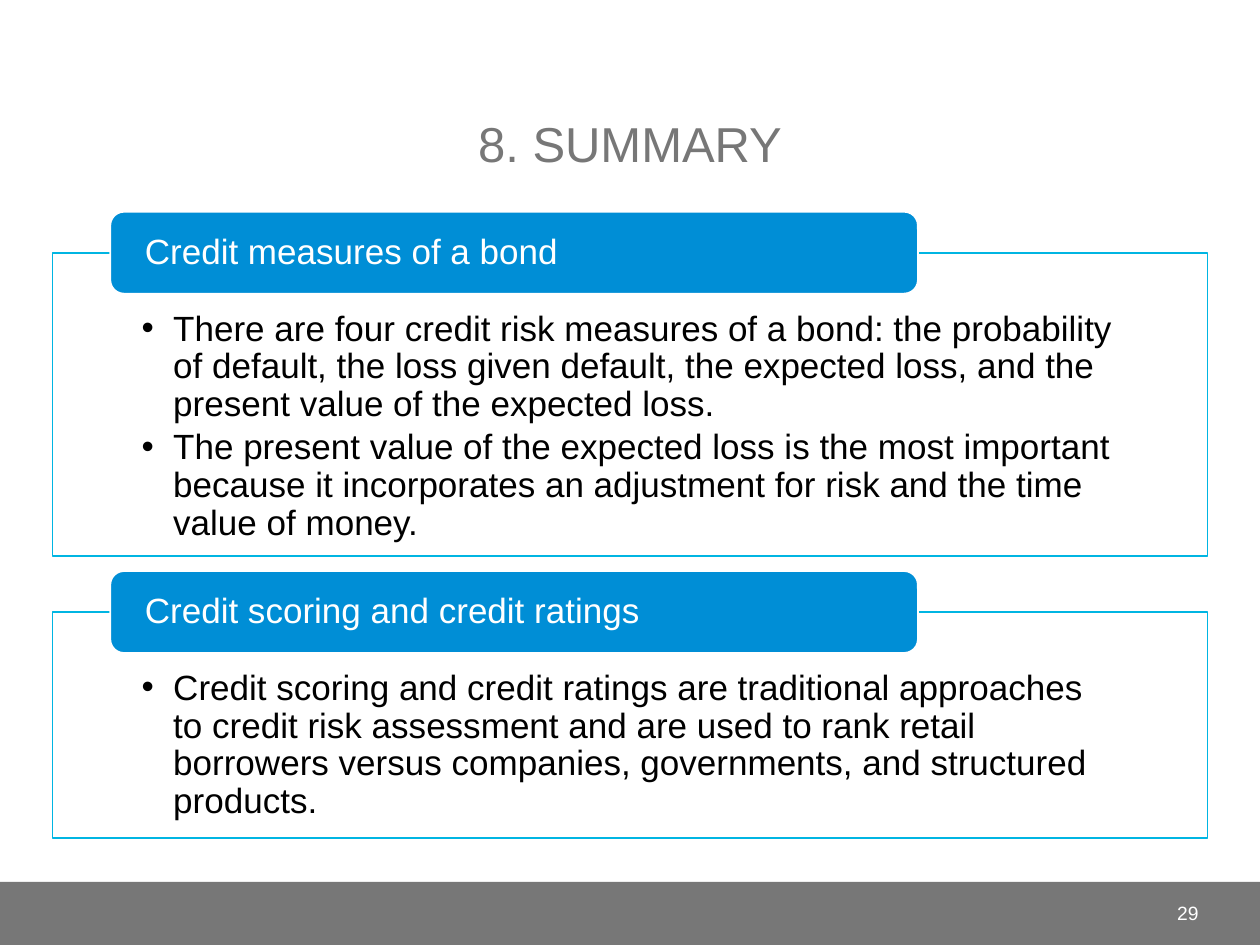
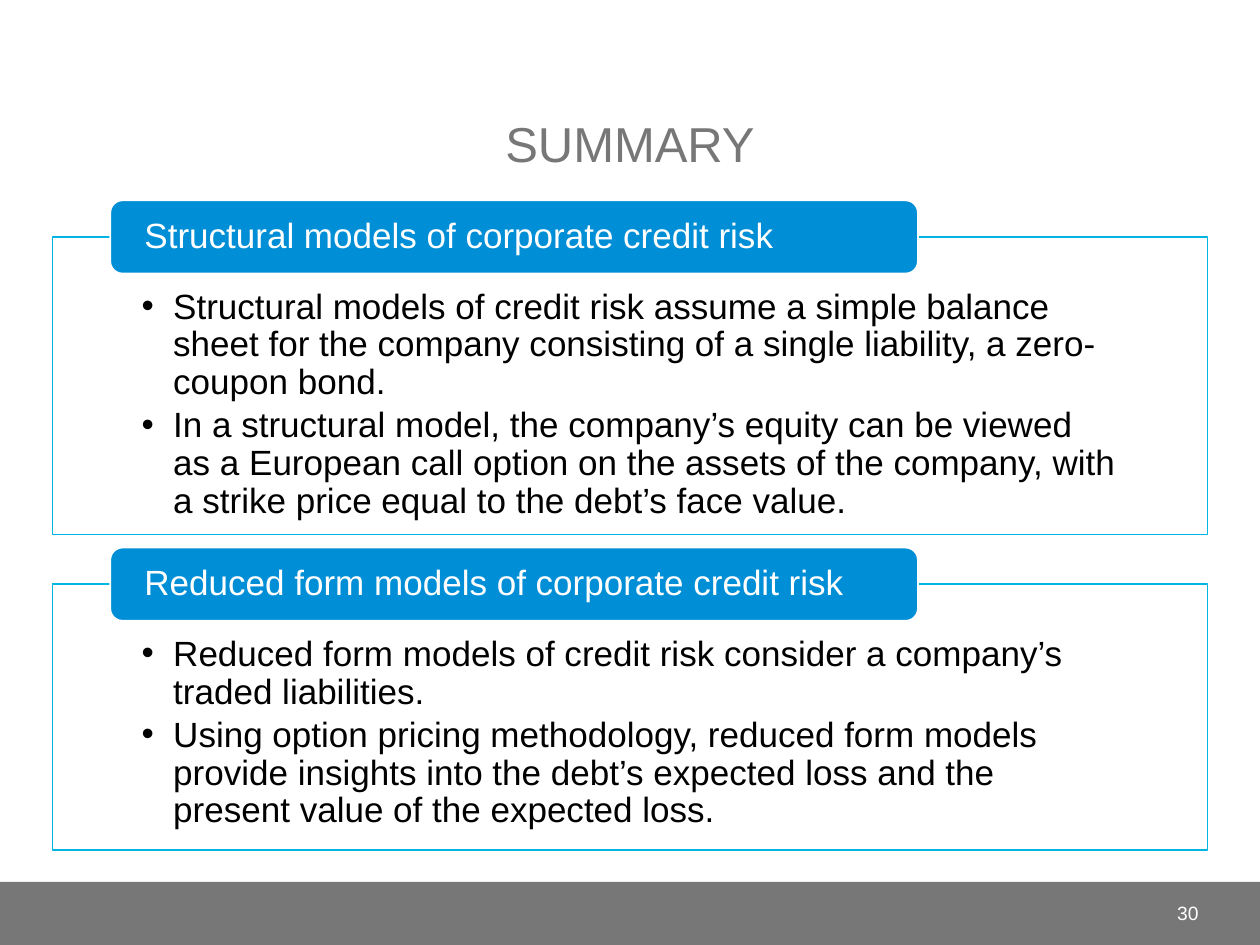
from dataclasses import dataclass

from lxml.etree import SubElement
from pptx import Presentation
from pptx.dml.color import RGBColor
from pptx.enum.shapes import MSO_SHAPE
from pptx.enum.text import MSO_ANCHOR, MSO_AUTO_SIZE, PP_ALIGN
from pptx.oxml.ns import qn
from pptx.util import Pt

# Content: each section has a heading, its panel height and its points
SUMMARIES = [
    {
        "title": "8. SUMMARY", "page": "29", "top": 121, "tab_height": 46.8,
        "sections": [
            ("Credit measures of a bond", 173.5, [
                "There are four credit risk measures of a bond: the probability of default, "
                "the loss given default, the expected loss, and the present value of the "
                "expected loss.",
                "The present value of the expected loss is the most important because it "
                "incorporates an adjustment for risk and the time value of money.",
            ]),
            ("Credit scoring and credit ratings", 129, [
                "Credit scoring and credit ratings are traditional approaches to credit risk "
                "assessment and are used to rank retail borrowers versus companies, "
                "governments, and structured products.",
            ]),
        ],
    },
    {
        "title": "SUMMARY", "page": "30", "top": 114.5, "tab_height": 41.8,
        "sections": [
            ("Structural models of corporate credit risk", 170, [
                "Structural models of credit risk assume a simple balance sheet for the "
                "company consisting of a single liability, a zero-coupon bond.",
                "In a structural model, the company’s equity can be viewed as a European "
                "call option on the assets of the company, with a strike price equal to the "
                "debt’s face value.",
            ]),
            ("Reduced form models of corporate credit risk", 152, [
                "Reduced form models of credit risk consider a company’s traded liabilities.",
                "Using option pricing methodology, reduced form models provide insights into "
                "the debt’s expected loss and the present value of the expected loss.",
            ]),
        ],
    },
]


@dataclass(frozen=True)
class Theme:
    font: str = "Arial"
    grey: RGBColor = RGBColor(0x77, 0x77, 0x77)
    blue: RGBColor = RGBColor(0x00, 0x8E, 0xD6)
    cyan: RGBColor = RGBColor(0x00, 0xB5, 0xE2)
    white: RGBColor = RGBColor(0xFF, 0xFF, 0xFF)
    black: RGBColor = RGBColor(0x00, 0x00, 0x00)
    title_size: float = 28
    body_size: float = 20
    page_size: float = 11


THEME = Theme()

# Shared layout, in points
SLIDE_WIDTH, SLIDE_HEIGHT = 720, 540
MARGIN = 30
CONTENT_WIDTH = SLIDE_WIDTH - 2 * MARGIN
BAND_HEIGHT = 36
TAB_LEFT, TAB_WIDTH = 63, 461.5
SECTION_GAP = 0.18      # share of the tab height
PANEL_INSET_TOP = 0.71  # share of the tab height
BULLET_INDENT = 18


def write(holder, *paragraphs, size=THEME.body_size, color=THEME.black,
          align=PP_ALIGN.LEFT, anchor=MSO_ANCHOR.MIDDLE, insets=(7.2, 3.6, 7.2, 3.6),
          spacing=1.0, after=0, bullet=False):
    """Fill a shape with paragraphs; insets are left, top, right, bottom."""
    frame = holder.text_frame
    frame.word_wrap = True
    frame.auto_size = MSO_AUTO_SIZE.NONE
    frame.vertical_anchor = anchor
    (frame.margin_left, frame.margin_top,
     frame.margin_right, frame.margin_bottom) = map(Pt, insets)
    for index, text in enumerate(paragraphs):
        paragraph = frame.add_paragraph() if index else frame.paragraphs[0]
        paragraph.alignment = align
        paragraph.line_spacing = spacing
        paragraph.space_after = Pt(after)
        run = paragraph.add_run()
        run.text = text
        run.font.name = THEME.font
        run.font.size = Pt(size)
        run.font.color.rgb = color
        if bullet:
            properties = paragraph._p.get_or_add_pPr()
            properties.set("marL", str(Pt(BULLET_INDENT)))
            properties.set("indent", str(-Pt(BULLET_INDENT)))
            SubElement(properties, qn("a:buFont")).set("typeface", THEME.font)
            SubElement(properties, qn("a:buChar")).set("char", "•")


def add_box(slide, kind, left, top, width, height, fill, line=None):
    box = slide.shapes.add_shape(kind, Pt(left), Pt(top), Pt(width), Pt(height))
    box.shadow.inherit = False
    box.fill.solid()
    box.fill.fore_color.rgb = fill
    if line is None:
        box.line.fill.background()
    else:
        box.line.color.rgb = line
        box.line.width = Pt(1)
    return box


def add_frame(slide, title, page):
    """Footer band, title and page number."""
    band_top = SLIDE_HEIGHT - BAND_HEIGHT
    add_box(slide, MSO_SHAPE.RECTANGLE, 0, band_top, SLIDE_WIDTH, BAND_HEIGHT, THEME.grey)

    heading = slide.shapes.title
    heading.left, heading.top = Pt(MARGIN), Pt(12)
    heading.width, heading.height = Pt(CONTENT_WIDTH), Pt(90)
    write(heading, title, size=THEME.title_size, color=THEME.grey,
          align=PP_ALIGN.CENTER, anchor=MSO_ANCHOR.BOTTOM)

    number = slide.shapes.add_textbox(Pt(630), Pt(band_top + 3), Pt(62), Pt(29))
    write(number, page, size=THEME.page_size, color=THEME.white, align=PP_ALIGN.RIGHT)


def add_section(slide, top, tab_height, heading, panel_height, points):
    """Draw a panel with its tab across the top edge; return the panel's bottom."""
    panel_top = top + tab_height / 2
    panel = add_box(slide, MSO_SHAPE.RECTANGLE, MARGIN, panel_top, CONTENT_WIDTH,
                    panel_height, THEME.white, THEME.cyan)
    write(panel, *points, anchor=MSO_ANCHOR.TOP, spacing=0.9, after=3, bullet=True,
          insets=(51, tab_height * PANEL_INSET_TOP, 51, 11.5))

    tab = add_box(slide, MSO_SHAPE.ROUNDED_RECTANGLE, TAB_LEFT, top, TAB_WIDTH,
                  tab_height, THEME.blue, THEME.white)
    write(tab, heading, color=THEME.white, spacing=0.9, insets=(17.5, 0, 17.5, 0))
    return panel_top + panel_height


def main():
    deck = Presentation()
    deck.slide_width, deck.slide_height = Pt(SLIDE_WIDTH), Pt(SLIDE_HEIGHT)
    title_only = deck.slide_layouts[5]

    for summary in SUMMARIES:
        slide = deck.slides.add_slide(title_only)
        add_frame(slide, summary["title"], summary["page"])
        top, tab_height = summary["top"], summary["tab_height"]
        for section in summary["sections"]:
            bottom = add_section(slide, top, tab_height, *section)
            top = bottom + SECTION_GAP * tab_height

    deck.save("out.pptx")


if __name__ == "__main__":
    main()
